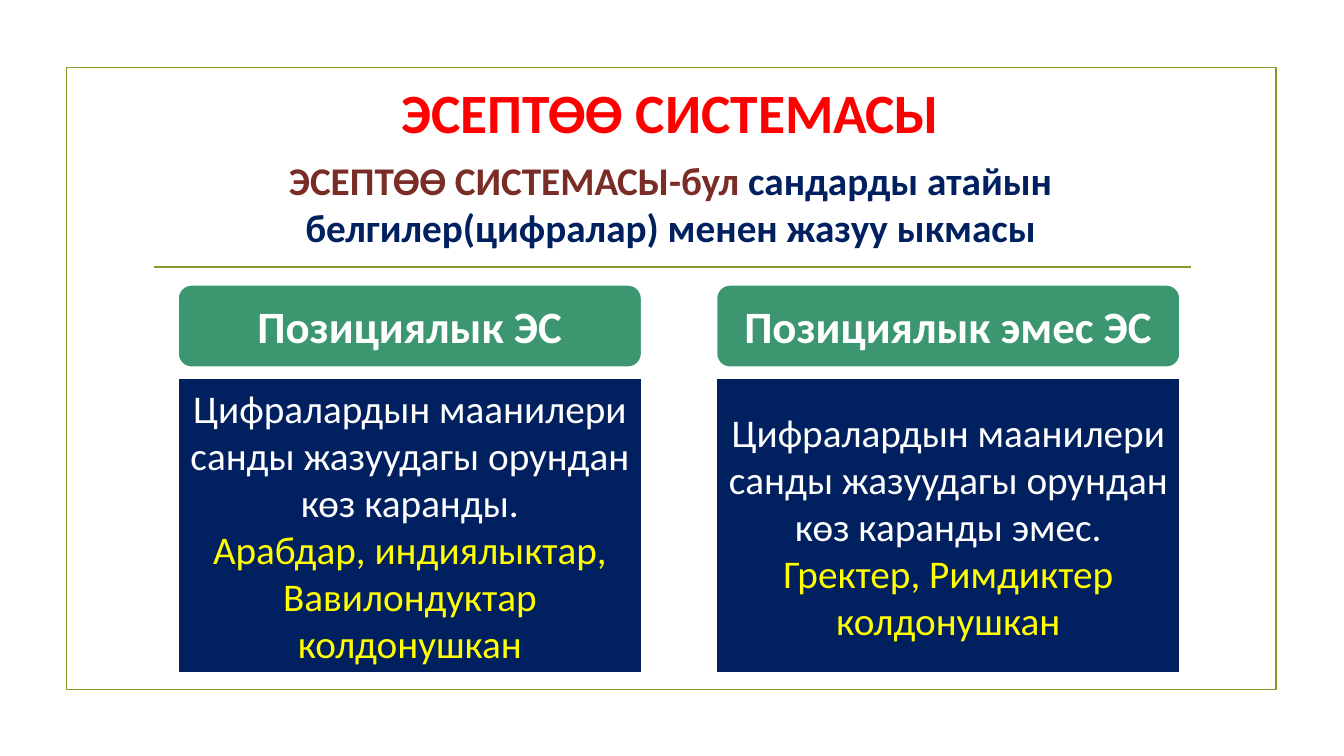
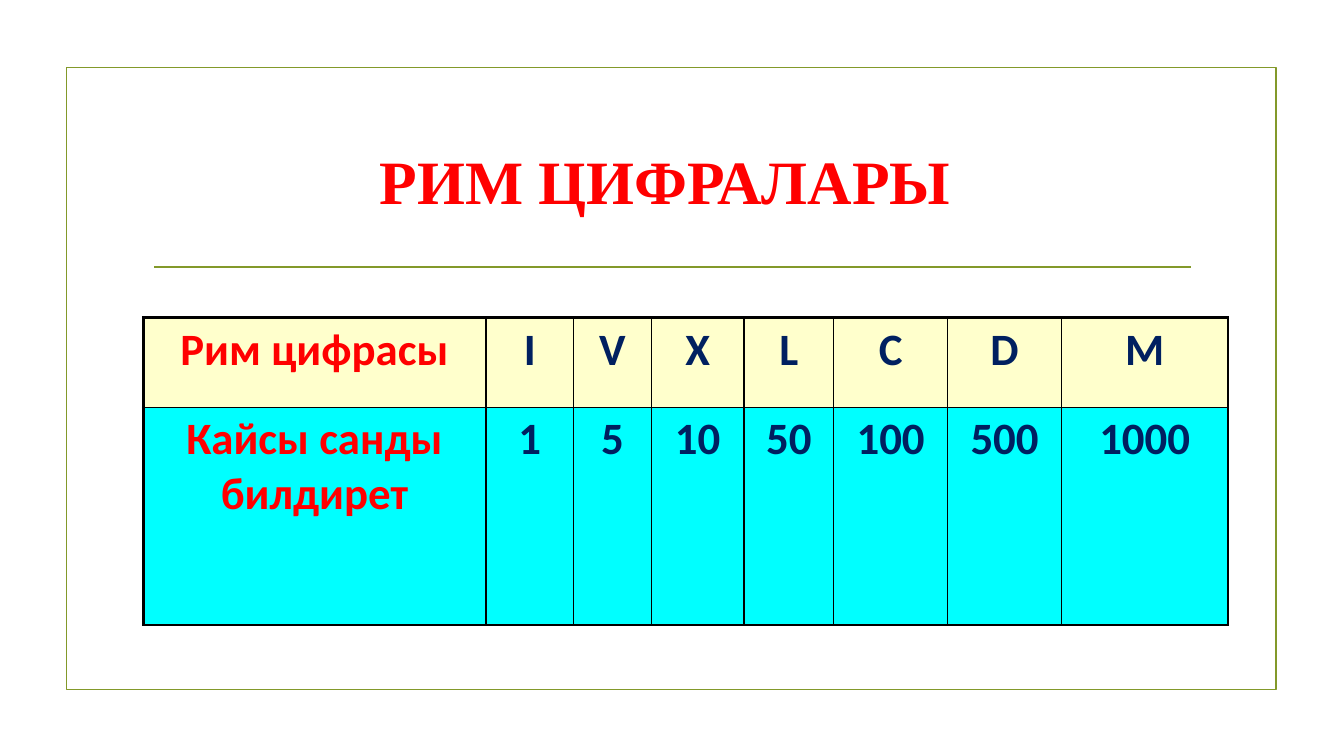
from lxml import etree
from pptx import Presentation
from pptx.dml.color import RGBColor
from pptx.enum.shapes import MSO_CONNECTOR as Connector, MSO_SHAPE as Preset
from pptx.enum.text import MSO_ANCHOR as Anchor, MSO_AUTO_SIZE as AutoSize, PP_ALIGN as Align
from pptx.oxml.ns import qn
from pptx.util import Inches, Pt

COLORS = {
    "olive": "83992A",
    "red": "FF0000",
    "maroon": "7A2D26",
    "navy": "002060",
    "green": "3C9770",
    "white": "FFFFFF",
    "yellow": "FFFF00",
    "cream": "FFFFCC",
    "cyan": "00FFFF",
    "black": "000000",
}
BODY_FONT = "Calibri"
THIN, THICK = 1, 2.25

SYSTEMS = [
    (
        "Позициялык ЭС",
        "Цифралардын маанилери санды жазуудагы орундан көз каранды.",
        "Арабдар, индиялыктар, Вавилондуктар колдонушкан",
    ),
    (
        "Позициялык эмес ЭС",
        "Цифралардын маанилери санды жазуудагы орундан көз каранды эмес.",
        "Гректер, Римдиктер колдонушкан",
    ),
]
NUMERALS = [
    ["Рим цифрасы", "I", "V", "X", "L", "C", "D", "M"],
    ["Кайсы санды билдирет", "1", "5", "10", "50", "100", "500", "1000"],
]
COLUMN_WIDTHS = [3.4, 0.87, 0.77, 0.92, 0.89, 1.13, 1.13, 1.65]
ROW_HEIGHTS = [0.89, 2.16]
ROW_FILLS = ["cream", "cyan"]


def rgb(name):
    return RGBColor.from_string(COLORS[name])


def box(left, top, width, height):
    return [Inches(value) for value in (left, top, width, height)]


def write(text_frame, paragraphs, size, bold=False, font=BODY_FONT):
    text_frame.word_wrap = True
    for index, runs in enumerate(paragraphs):
        paragraph = text_frame.add_paragraph() if index else text_frame.paragraphs[0]
        paragraph.alignment = Align.CENTER
        for text, color in runs:
            run = paragraph.add_run()
            run.text = text
            run.font.name = font
            run.font.size = Pt(size)
            run.font.bold = bold
            run.font.color.rgb = rgb(color)


def style_line(line, color, width):
    line.color.rgb = rgb(color)
    line.width = Pt(width)


def add_panel(slide, preset, place, fill, line, width):
    shape = slide.shapes.add_shape(preset, *box(*place))
    shape.shadow.inherit = False
    if fill:
        shape.fill.solid()
        shape.fill.fore_color.rgb = rgb(fill)
    else:
        shape.fill.background()
    style_line(shape.line, line, width)
    shape.text_frame.vertical_anchor = Anchor.MIDDLE
    return shape


def add_framed_slide(presentation, title, place, size, font):
    slide = presentation.slides.add_slide(presentation.slide_layouts[5])
    add_panel(slide, Preset.RECTANGLE, (0.66, 0.67, 12, 6.17), None, "olive", 1.25)
    rule = slide.shapes.add_connector(
        Connector.STRAIGHT, *box(1.53, 2.65, 11.81, 2.65)
    )
    style_line(rule.line, "olive", 1.25)
    etree.SubElement(rule._element.spPr, qn("a:effectLst"))

    shape = slide.shapes.title
    shape.left, shape.top, shape.width, shape.height = box(*place)
    shape.text_frame.auto_size = AutoSize.NONE
    shape.text_frame.vertical_anchor = Anchor.MIDDLE
    write(shape.text_frame, [[(title, "red")]], size, True, font)
    return slide


def add_definition(slide):
    shape = slide.shapes.add_textbox(*box(1.4, 1.67, 10.5, 0.69))
    shape.text_frame.vertical_anchor = Anchor.MIDDLE
    runs = [
        ("ЭСЕПТӨӨ СИСТЕМАСЫ-бул ", "maroon"),
        ("сандарды атайын белгилер(цифралар) менен жазуу ыкмасы", "navy"),
    ]
    write(shape.text_frame, [runs], 28, True)


def add_system(slide, left, heading, meaning, users):
    header = add_panel(
        slide, Preset.ROUNDED_RECTANGLE, (left, 2.82, 4.61, 0.83), "green", "white", 2
    )
    write(header.text_frame, [[(heading, "white")]], 32, True)
    body = add_panel(
        slide, Preset.RECTANGLE, (left, 3.75, 4.61, 2.93), "navy", "white", 2
    )
    write(body.text_frame, [[(meaning, "white")], [(users, "yellow")]], 28)


def set_borders(cell, widths):
    properties = cell._tc.get_or_add_tcPr()
    for side, width in zip("LRTB", widths):
        line = etree.SubElement(properties, qn(f"a:ln{side}"), w=str(Pt(width)))
        fill = etree.SubElement(line, qn("a:solidFill"))
        etree.SubElement(fill, qn("a:srgbClr"), val=COLORS["black"])


def add_numeral_table(slide):
    rows, columns = len(NUMERALS), len(COLUMN_WIDTHS)
    place = box(1.42, 3.15, sum(COLUMN_WIDTHS), sum(ROW_HEIGHTS))
    table = slide.shapes.add_table(rows, columns, *place).table
    table.first_row = table.horz_banding = False
    for column, width in zip(table.columns, COLUMN_WIDTHS):
        column.width = Inches(width)
    for row_index, values in enumerate(NUMERALS):
        table.rows[row_index].height = Inches(ROW_HEIGHTS[row_index])
        for column_index, value in enumerate(values):
            cell = table.cell(row_index, column_index)
            outer = (
                column_index == 0,
                column_index == columns - 1,
                row_index == 0,
                row_index == rows - 1,
            )
            set_borders(cell, [THICK if edge else THIN for edge in outer])
            cell.fill.solid()
            cell.fill.fore_color.rgb = rgb(ROW_FILLS[row_index])
            color = "navy" if column_index else "red"
            write(cell.text_frame, [[(value, color)]], 32, True)


def main():
    presentation = Presentation()
    presentation.slide_width = Inches(13.33)
    presentation.slide_height = Inches(7.5)

    slide = add_framed_slide(
        presentation, "ЭСЕПТӨӨ СИСТЕМАСЫ", (1.4, 0.76, 10.5, 0.69), 39.6, BODY_FONT
    )
    add_definition(slide)
    for index, system in enumerate(SYSTEMS):
        add_system(slide, 1.76 + index * 5.34, *system)

    slide = add_framed_slide(
        presentation, "РИМ ЦИФРАЛАРЫ", (1.35, 1.07, 10.5, 1.43), 44, "Times New Roman"
    )
    add_numeral_table(slide)

    presentation.save("out.pptx")


if __name__ == "__main__":
    main()
